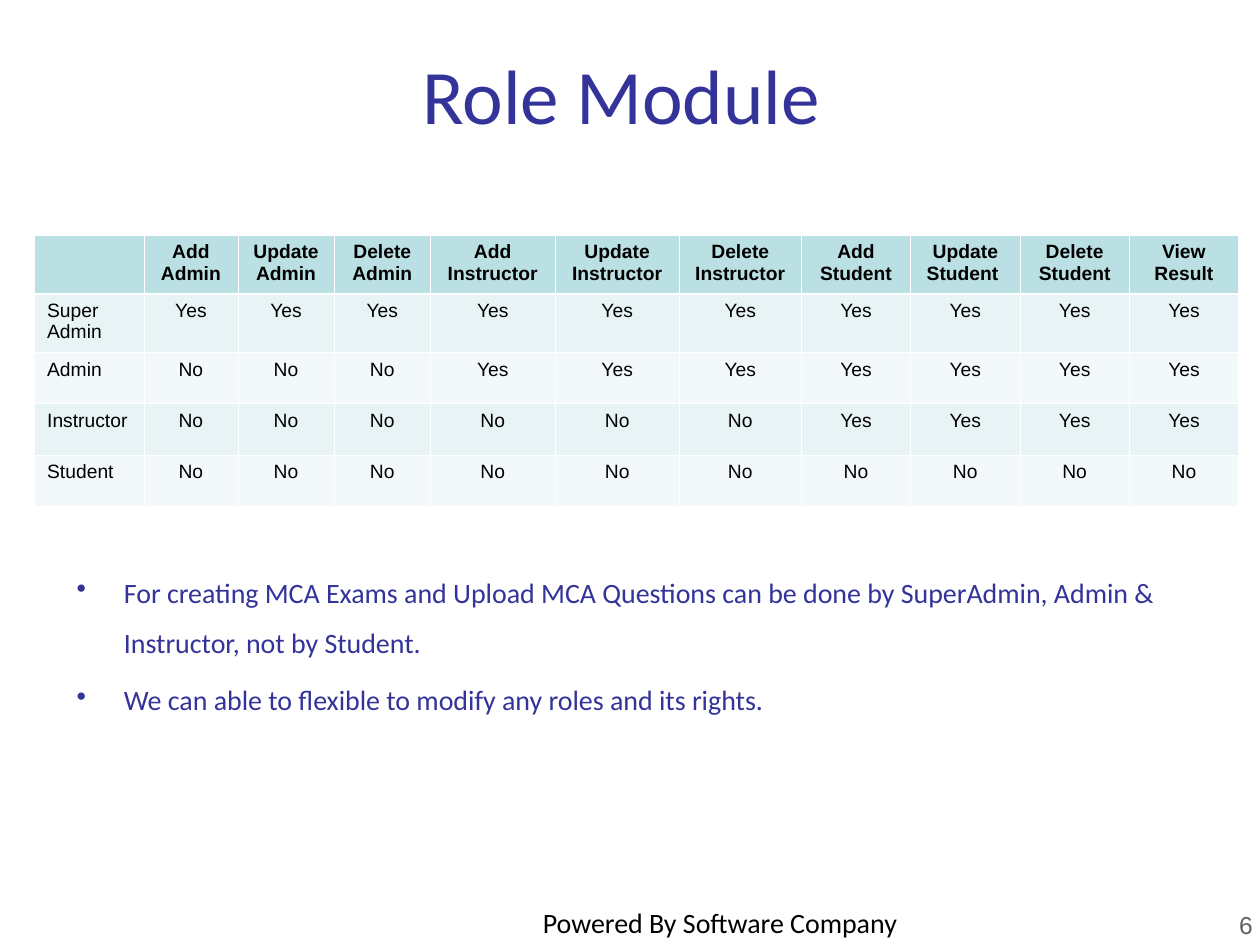
from dataclasses import dataclass
from typing import Optional

from lxml import etree
from pptx import Presentation
from pptx import util as u
from pptx.dml import color
from pptx.enum import text
from pptx.oxml import ns

Align, Anchor = text.PP_ALIGN, text.MSO_ANCHOR


@dataclass(frozen=True)
class Theme:
    heading_font: str = "Calibri"
    table_font: str = "Arial"
    indigo: str = "333399"
    black: str = "000000"
    gray: str = "606060"
    white: str = "FFFFFF"
    header_fill: str = "BBE0E3"
    band_fills: tuple = ("E7F3F4", "F3F9FA")
    title_size: float = 44
    body_size: float = 16
    number_size: float = 14
    table_size: float = 11
    thin: float = 0.45
    thick: float = 1.47


THEME = Theme()


@dataclass(frozen=True)
class Label:
    lines: tuple
    left: float
    top: float
    width: float
    height: float
    size: float
    ink: str
    font: str = THEME.heading_font
    align: Align = Align.CENTER
    anchor: Anchor = Anchor.TOP
    bullet_indent: Optional[float] = None


@dataclass(frozen=True)
class Role:
    name: str
    first_right: int  # index of the first action the role may perform


LABELS = (
    Label(("Role Module",), 31, 15, 648, 77, THEME.title_size, THEME.indigo,
          anchor=Anchor.MIDDLE),
    Label(("For creating MCA Exams and Upload MCA Questions can be done by "
           "SuperAdmin, Admin & Instructor, not by Student.",
           "We can able to flexible to modify any roles and its rights."),
          36.75, 315.5, 648, 184, THEME.body_size, THEME.indigo,
          align=Align.LEFT, bullet_indent=27),
    Label(("Powered By Software Company",), 292.25, 514, 238.5, 26,
          THEME.body_size, THEME.black, anchor=Anchor.MIDDLE),
    Label(("6",), 689, 516.25, 34, 37.5, THEME.number_size, THEME.gray,
          font=THEME.table_font, align=Align.RIGHT),
)

ACTIONS = ("Add Admin", "Update Admin", "Delete Admin",
           "Add Instructor", "Update\nInstructor", "Delete Instructor",
           "Add Student", "Update Student ", "Delete Student", "View Result")
ROLES = (Role("Super Admin", 0), Role("Admin", 3),
         Role("Instructor", 6), Role("Student", len(ACTIONS)))
TABLE_LEFT, TABLE_TOP = 19.75, 134.25
COLUMN_WIDTHS = (62.5, 53.75, 55, 55, 71.25, 71, 69.75) + (62.5,) * 4
ROW_HEIGHTS = (33.5, 33.5, 29.2, 29.2, 29.2)


def style(para, font: str, size: float, ink: str, align: Align,
          bold: bool = False) -> None:
    para.alignment = align
    para.font.name = font
    para.font.size = u.Pt(size)
    para.font.bold = bold
    para.font.color.rgb = color.RGBColor.from_string(ink)


def add_bullet(para, indent: float, ink: str) -> None:
    para.line_spacing = 1.5
    para.space_before = u.Pt(4)
    props = para._p.get_or_add_pPr()
    props.set("marL", str(u.Pt(indent)))
    props.set("indent", str(-u.Pt(indent)))
    # Bullet elements come after spacing and before the default font
    bullet_color = etree.Element(ns.qn("a:buClr"))
    etree.SubElement(bullet_color, ns.qn("a:srgbClr"), val=ink)
    mark = etree.Element(ns.qn("a:buChar"), char="•")
    default_font = props.find(ns.qn("a:defRPr"))
    default_font.addprevious(bullet_color)
    default_font.addprevious(mark)


def add_label(page, label: Label) -> None:
    box = page.shapes.add_textbox(*map(u.Pt, (label.left, label.top,
                                              label.width, label.height)))
    frame = box.text_frame
    frame.word_wrap = True
    frame.vertical_anchor = label.anchor
    frame.text = "\n".join(label.lines)
    for para in frame.paragraphs:
        style(para, label.font, label.size, label.ink, label.align)
        if label.bullet_indent is not None:
            add_bullet(para, label.bullet_indent, label.ink)


def add_borders(cell, top: float, bottom: float) -> None:
    props = cell._tc.get_or_add_tcPr()
    widths = {"lnL": THEME.thin, "lnR": THEME.thin, "lnT": top, "lnB": bottom}
    for side, width in widths.items():
        line = etree.SubElement(props, ns.qn(f"a:{side}"), w=str(u.Pt(width)))
        fill = etree.SubElement(line, ns.qn("a:solidFill"))
        etree.SubElement(fill, ns.qn("a:srgbClr"), val=THEME.white)


def fill_cell(cell, value: str, row: int, column: int) -> None:
    header = row == 0
    add_borders(cell, top=THEME.thick if row == 1 else THEME.thin,
                bottom=THEME.thick if header else THEME.thin)
    cell.fill.solid()
    cell.fill.fore_color.rgb = color.RGBColor.from_string(
        THEME.header_fill if header else THEME.band_fills[(row - 1) % 2])
    cell.text = value
    align = Align.CENTER if header or column else Align.LEFT
    for para in cell.text_frame.paragraphs:
        style(para, THEME.table_font, THEME.table_size, THEME.black, align,
              bold=header)


def add_rights_table(page) -> None:
    rows = [("",) + ACTIONS]
    for role in ROLES:
        rights = ("Yes" if i >= role.first_right else "No"
                  for i in range(len(ACTIONS)))
        rows.append((role.name, *rights))
    table = page.shapes.add_table(
        len(rows), len(COLUMN_WIDTHS), u.Pt(TABLE_LEFT), u.Pt(TABLE_TOP),
        u.Pt(sum(COLUMN_WIDTHS)), u.Pt(sum(ROW_HEIGHTS))).table
    for column, width in zip(table.columns, COLUMN_WIDTHS):
        column.width = u.Pt(width)
    for row, height in zip(table.rows, ROW_HEIGHTS):
        row.height = u.Pt(height)
    for r, values in enumerate(rows):
        for c, value in enumerate(values):
            fill_cell(table.cell(r, c), value, r, c)


def main() -> None:
    deck = Presentation()
    deck.slide_width, deck.slide_height = u.Pt(720), u.Pt(540)
    page = deck.slides.add_slide(deck.slide_layouts[6])

    # Title, notes and footer
    for label in LABELS:
        add_label(page, label)

    # Rights of each role
    add_rights_table(page)

    deck.save("out.pptx")


if __name__ == "__main__":
    main()
